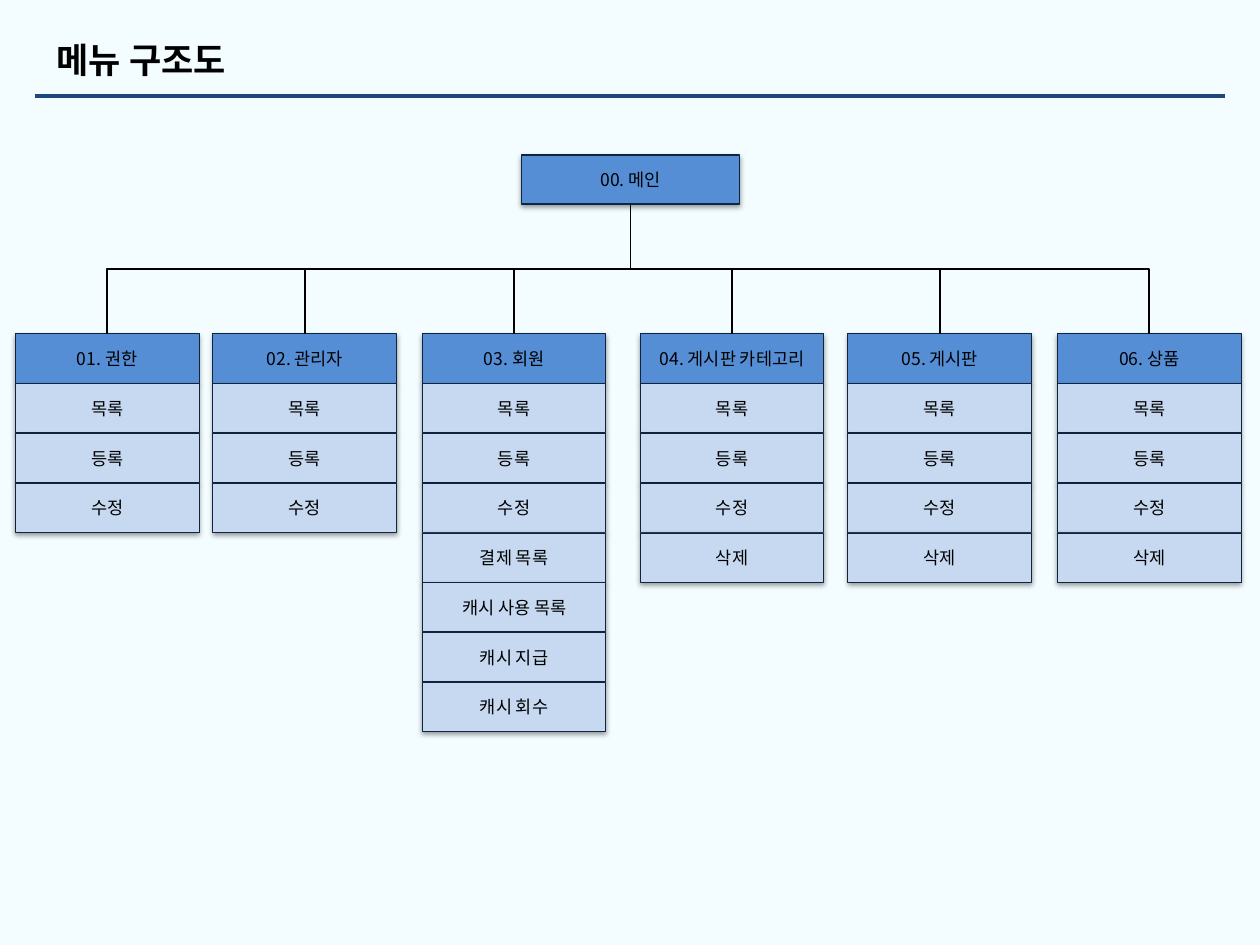
from lxml.etree import SubElement
from pptx import Presentation
from pptx.dml.color import RGBColor
from pptx.enum.shapes import MSO_CONNECTOR, MSO_SHAPE
from pptx.enum.text import MSO_ANCHOR, PP_ALIGN
from pptx.oxml.ns import qn
from pptx.util import Inches, Pt

# Content
TITLE = "메뉴 구조도"
ROOT = "00. 메인"
BASIC = ["목록", "등록", "수정"]
MENUS = [  # left edge, heading, pages
    (0.12, "01. 권한", BASIC),
    (1.69, "02. 관리자", BASIC),
    (3.35, "03. 회원", BASIC + ["결제 목록", "캐시 사용 목록", "캐시 지급", "캐시 회수"]),
    (5.08, "04. 게시판 카테고리", BASIC + ["삭제"]),
    (6.73, "05. 게시판", BASIC + ["삭제"]),
    (8.39, "06. 상품", BASIC + ["삭제"]),
]

# Theme
THEME = {
    "font": "Noto Sans CJK KR",
    "title_size": 20, "box_size": 10,
    "background": "F3FCFF", "text": "000000", "rule": "1F497D",
    "heading": "558ED5", "page": "C6D9F1", "border": "0F243E",
}

# Layout, in inches
ROOT_LEFT, ROOT_TOP, ROOT_WIDTH = 4.14, 1.23, 1.73
MENU_TOP, MENU_WIDTH = 2.65, 1.46
BOX_HEIGHT, ROW_STEP = 0.39, 0.395


def color(name):
    return RGBColor.from_string(THEME[name])


def write(frame, text, size, bold=False, align=PP_ALIGN.CENTER):
    frame.word_wrap = True
    frame.vertical_anchor = MSO_ANCHOR.MIDDLE
    paragraph = frame.paragraphs[0]
    paragraph.alignment = align
    run = paragraph.add_run()
    run.text = text
    font_format = {"name": THEME["font"], "size": Pt(THEME[size]), "bold": bold}
    for attribute, value in font_format.items():
        setattr(run.font, attribute, value)
    run.font.color.rgb = color("text")
    SubElement(run.font._element, qn("a:ea"), typeface=THEME["font"])


def add_shadow(box):
    box.shadow.inherit = False
    effects = box._element.spPr.find(qn("a:effectLst"))
    shadow = SubElement(effects, qn("a:outerShdw"), blurRad=str(Pt(3.1)),
                        dist=str(Pt(1.6)), dir="5400000", rotWithShape="0")
    black = SubElement(shadow, qn("a:srgbClr"), val="000000")
    SubElement(black, qn("a:alpha"), val="38000")


def add_box(left, top, width, text, fill, border=0.5):
    box = slide.shapes.add_shape(MSO_SHAPE.RECTANGLE, Inches(left), Inches(top),
                                 Inches(width), Inches(BOX_HEIGHT))
    box.fill.solid()
    box.fill.fore_color.rgb = color(fill)
    box.line.color.rgb = color("border")
    box.line.width = Pt(border)
    add_shadow(box)
    write(box.text_frame, text, "box_size")
    return box


def add_line(kind, start, end, line_color, width):
    line = slide.shapes.add_connector(kind, *start, *end)
    line.line.color.rgb = color(line_color)
    line.line.width = Pt(width)
    SubElement(line._element.spPr, qn("a:effectLst"))
    return line


def add_branch(parent, child):
    """Elbow that leaves downward, so its frame is turned a quarter."""
    start = parent.left + parent.width // 2, parent.top + parent.height
    end = child.left + child.width // 2, child.top
    elbow = add_line(MSO_CONNECTOR.ELBOW, start, end, "text", 0.75)
    elbow.begin_connect(parent, 2)
    elbow.end_connect(child, 0)
    drop, reach = end[1] - start[1], abs(end[0] - start[0])
    frame = {
        "left": (start[0] + end[0] - drop) // 2,
        "top": (start[1] + end[1] - reach) // 2,
        "width": drop,
        "height": reach,
    }
    for attribute, value in frame.items():
        setattr(elbow, attribute, value)
    to_right = end[0] > start[0]
    turn = {"rot": "16200000" if to_right else "5400000",
            "flipH": "1" if to_right else "0", "flipV": "0"}
    for attribute, value in turn.items():
        elbow._element.spPr.find(qn("a:xfrm")).set(attribute, value)


presentation = Presentation()
presentation.slide_width, presentation.slide_height = Inches(10), Inches(7.5)
slide = presentation.slides.add_slide(presentation.slide_layouts[5])
slide.background.fill.solid()
slide.background.fill.fore_color.rgb = color("background")

# Title and rule
title = slide.shapes.title
title_frame = {"left": 0.35, "top": 0.25, "width": 6.65, "height": 0.44}
for attribute, value in title_frame.items():
    setattr(title, attribute, Inches(value))
write(title.text_frame, TITLE, "title_size", True, PP_ALIGN.LEFT)
add_line(MSO_CONNECTOR.STRAIGHT, (Inches(0.28), Inches(0.76)),
         (Inches(9.72), Inches(0.76)), "rule", 2.5)

# Menu tree
root = add_box(ROOT_LEFT, ROOT_TOP, ROOT_WIDTH, ROOT, "heading", 0.75)
for left, heading, pages in MENUS:
    menu = add_box(left, MENU_TOP, MENU_WIDTH, heading, "heading")
    for row, page in enumerate(pages, start=1):
        add_box(left, MENU_TOP + row * ROW_STEP, MENU_WIDTH, page, "page")
    add_branch(root, menu)

presentation.save("out.pptx")
